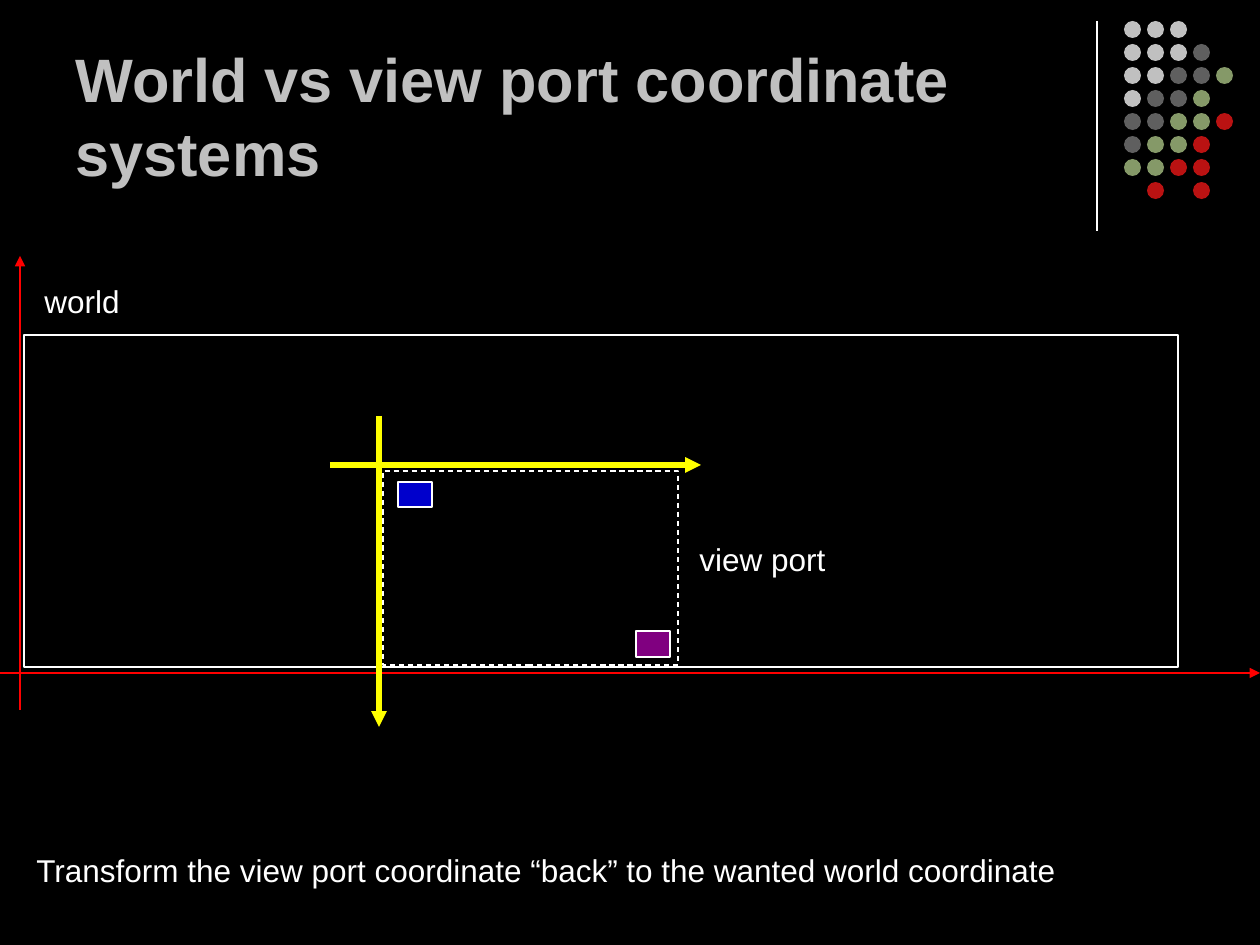
from dataclasses import dataclass
from typing import Optional

from lxml import etree
from pptx import Presentation
from pptx.dml.color import RGBColor
from pptx.enum.dml import MSO_LINE
from pptx.enum.shapes import MSO_CONNECTOR, MSO_SHAPE
from pptx.enum.text import MSO_ANCHOR
from pptx.oxml.ns import qn
from pptx.slide import Slide
from pptx.util import Emu, Pt

STRAIGHT = MSO_CONNECTOR.STRAIGHT
RECTANGLE = MSO_SHAPE.RECTANGLE
OVAL = MSO_SHAPE.OVAL
DASH = MSO_LINE.DASH
TOP = MSO_ANCHOR.TOP
BOTTOM = MSO_ANCHOR.BOTTOM

EMU_PER_PX = 914400 / 126
COLORS = {
    "black": "000000",
    "white": "FFFFFF",
    "silver": "C0C0C0",
    "gray": "5F5F5F",
    "green": "859968",
    "crimson": "BA1212",
    "red": "FF0000",
    "yellow": "FFFF00",
    "blue": "0000CC",
    "purple": "800080",
}
DOT_COLORS = {"s": "silver", "g": "gray", "n": "green", "r": "crimson"}
DOT_ROWS = ("sss", "sssg", "ssggn", "sggn", "ggnnr", "gnnr", "nnrr", " r r")
DOT_LEFT, DOT_TOP, DOT_PITCH, DOT_SIZE = 1124, 21, 23, 17


@dataclass(frozen=True)
class Block:
    left: int
    top: int
    width: int
    height: int
    fill: Optional[str] = None
    line: Optional[str] = "white"
    dash: Optional[MSO_LINE] = None
    kind: MSO_SHAPE = RECTANGLE


@dataclass(frozen=True)
class Line:
    x1: int
    y1: int
    x2: int
    y2: int
    color: str
    weight: float = 0.75
    arrow: bool = True


@dataclass(frozen=True)
class Label:
    text: str
    left: int
    top: int
    width: int
    height: int = 50
    size: int = 18
    color: str = "white"
    bold: bool = False
    anchor: MSO_ANCHOR = TOP


DIVIDER = Line(1097, 21, 1097, 231, "white", arrow=False)
FRAMES = (
    Block(24, 335, 1154, 332),
    Block(383, 471, 295, 194, dash=DASH),
)
AXES = (
    Line(20, 710, 20, 256, "red"),
    Line(0, 673, 1260, 673, "red"),
    Line(379, 416, 379, 727, "yellow", 3),
    Line(330, 465, 701, 465, "yellow", 3),
)
MARKERS = (
    Block(398, 482, 34, 25, "blue"),
    Block(636, 631, 34, 26, "purple"),
)
LABELS = (
    Label("World vs view port coordinate systems", 63, 16, 1040, 179, 35, "silver", True, BOTTOM),
    Label("view port", 687, 534, 219),
    Label("world", 32, 276, 219),
    Label("Transform the view port coordinate “back” to the wanted world coordinate", 24, 845, 1208),
)


def px(length: int) -> Emu:
    """Turn pixels into EMU."""
    return Emu(round(length * EMU_PER_PX))


def rgb(name: str) -> RGBColor:
    """Look up a named colour."""
    return RGBColor.from_string(COLORS[name])


def draw_block(slide: Slide, block: Block) -> None:
    """Draw a preset shape with optional fill and outline."""
    sides = (block.left, block.top, block.width, block.height)
    shape = slide.shapes.add_shape(block.kind, *map(px, sides))
    shape.shadow.inherit = False
    if block.fill:
        shape.fill.solid()
        shape.fill.fore_color.rgb = rgb(block.fill)
    else:
        shape.fill.background()
    if block.line:
        shape.line.color.rgb = rgb(block.line)
        shape.line.width = Pt(0.75)
        shape.line.dash_style = block.dash
    else:
        shape.line.fill.background()


def draw_line(slide: Slide, line: Line) -> None:
    """Draw a straight line, with an arrowhead at its end if wanted."""
    ends = (line.x1, line.y1, line.x2, line.y2)
    connector = slide.shapes.add_connector(STRAIGHT, *map(px, ends))
    connector.line.color.rgb = rgb(line.color)
    connector.line.width = Pt(line.weight)
    properties = connector._element.spPr
    if line.arrow:
        etree.SubElement(properties.find(qn("a:ln")), qn("a:tailEnd"), type="triangle")
    etree.SubElement(properties, qn("a:effectLst"))


def draw_label(slide: Slide, label: Label) -> None:
    """Draw a wrapped text box holding one paragraph."""
    sides = (label.left, label.top, label.width, label.height)
    box = slide.shapes.add_textbox(*map(px, sides))
    frame = box.text_frame
    frame.word_wrap = True
    frame.vertical_anchor = label.anchor
    para = frame.paragraphs[0]
    span = para.add_run()
    span.text = label.text
    formats = {"name": "Arial", "size": Pt(label.size), "bold": label.bold}
    for key, value in formats.items():
        setattr(span.font, key, value)
    span.font.color.rgb = rgb(label.color)


def draw_dots(slide: Slide) -> None:
    """Draw the grid of coloured dots in the corner."""
    for row, codes in enumerate(DOT_ROWS):
        for column, code in enumerate(codes):
            if code in DOT_COLORS:
                left = DOT_LEFT + column * DOT_PITCH
                top = DOT_TOP + row * DOT_PITCH
                dot = Block(left, top, DOT_SIZE, DOT_SIZE, DOT_COLORS[code], None, kind=OVAL)
                draw_block(slide, dot)


def main() -> None:
    """Build the slide and save the deck."""
    deck = Presentation()
    deck.slide_width, deck.slide_height = px(1260), px(945)
    slide = deck.slides.add_slide(deck.slide_layouts[6])
    slide.background.fill.solid()
    slide.background.fill.fore_color.rgb = rgb("black")
    draw_line(slide, DIVIDER)
    draw_dots(slide)
    for frame in FRAMES:
        draw_block(slide, frame)
    for axis in AXES:
        draw_line(slide, axis)
    for marker in MARKERS:
        draw_block(slide, marker)
    for label in LABELS:
        draw_label(slide, label)
    deck.save("out.pptx")


if __name__ == "__main__":
    main()
